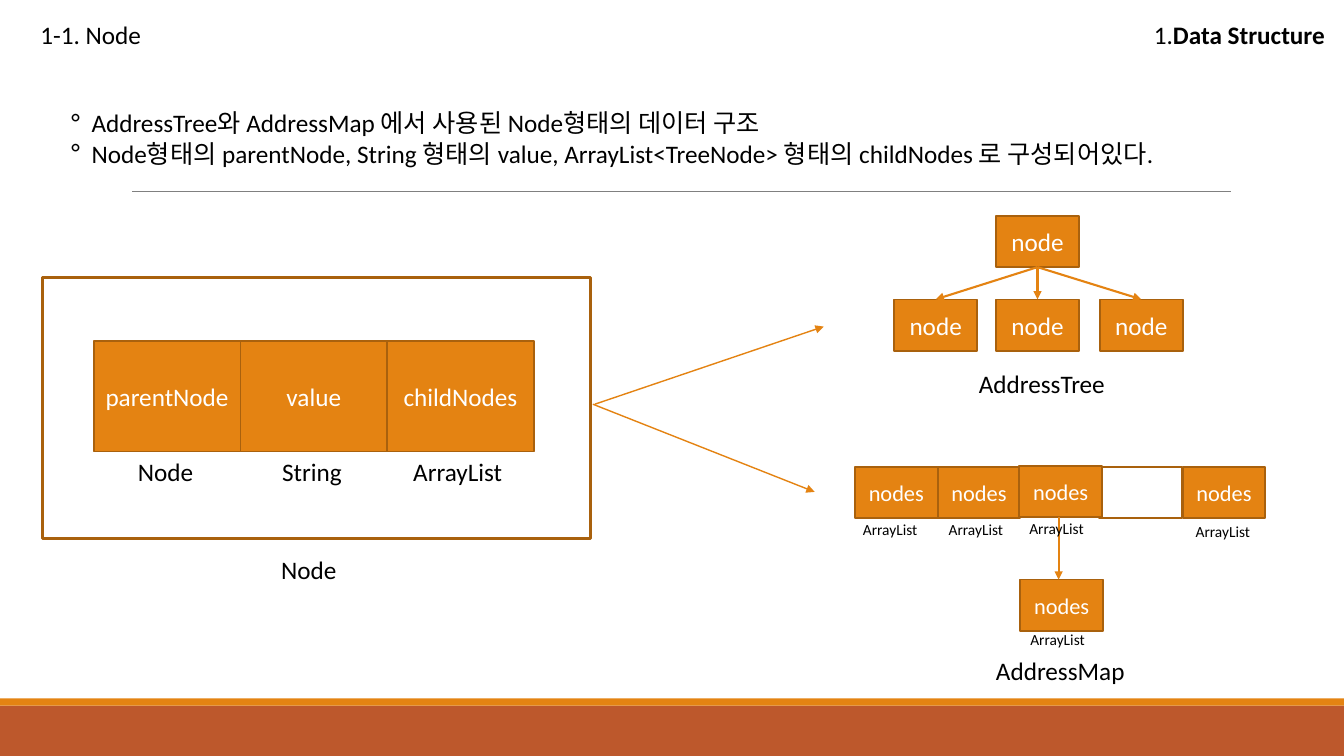
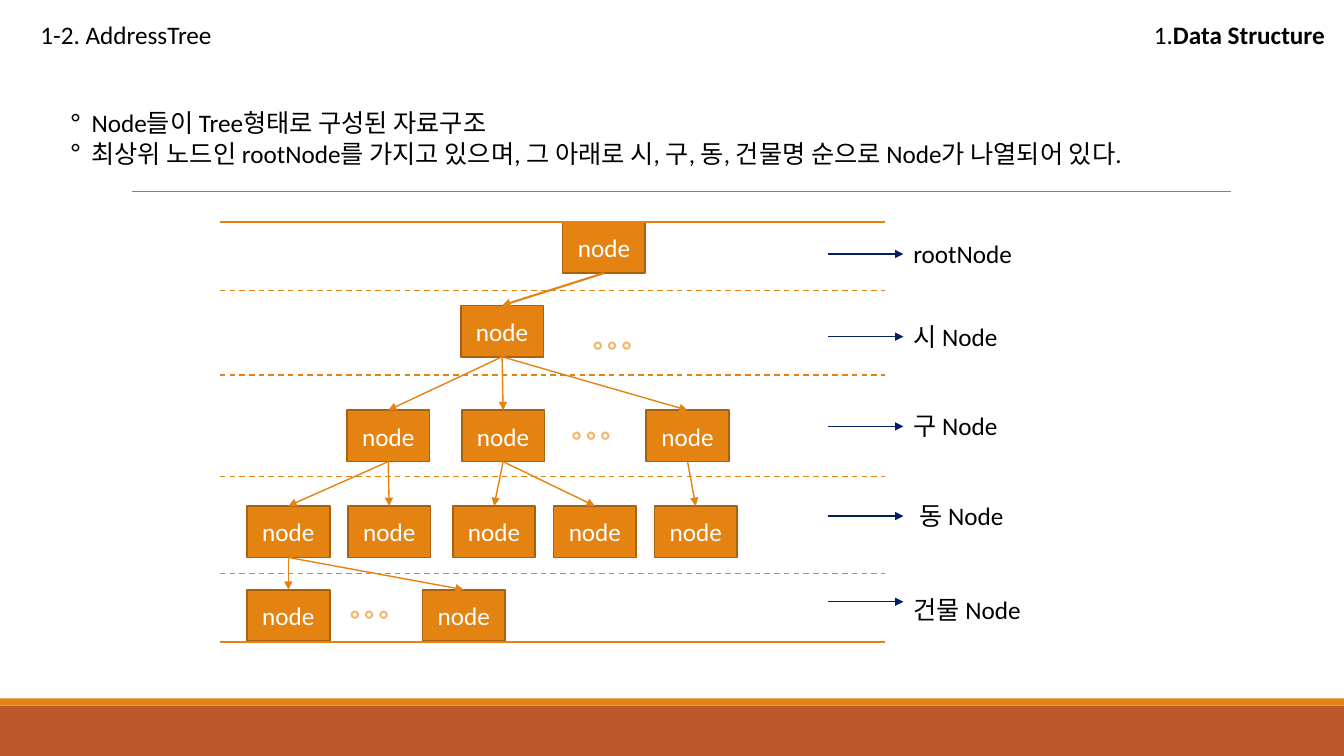
from dataclasses import dataclass

from lxml import etree
from pptx import Presentation
from pptx.dml.color import RGBColor
from pptx.enum.dml import MSO_LINE
from pptx.enum.shapes import MSO_CONNECTOR, MSO_SHAPE
from pptx.enum.text import MSO_ANCHOR, PP_ALIGN
from pptx.oxml.ns import qn
from pptx.shapes.autoshape import Shape
from pptx.shapes.connector import Connector
from pptx.slide import Slide
from pptx.text.text import TextFrame
from pptx.util import Inches, Pt

RECT = MSO_SHAPE.RECTANGLE
STRAIGHT = MSO_CONNECTOR.STRAIGHT
DASH = MSO_LINE.DASH
LEFT, CENTER, RIGHT = PP_ALIGN.LEFT, PP_ALIGN.CENTER, PP_ALIGN.RIGHT
TOP, MIDDLE = MSO_ANCHOR.TOP, MSO_ANCHOR.MIDDLE

FONT = "Calibri"
COLORS = {
    "rust": "BD582C",
    "orange": "E48312",
    "edge": "A9610D",
    "pale": "F3B56C",
    "navy": "002060",
    "gray": "808080",
    "black": "000000",
    "white": "FFFFFF",
}
NODE_W, NODE_H = 0.82, 0.51
TEXT_H = 0.4


@dataclass
class Row:
    top: float
    lefts: list[float]


@dataclass
class Field:
    name: str
    kind: str
    left: float
    width: float


@dataclass
class Level:
    name: str
    top: float
    arrow: float
    left: float = 8.96
    width: float = 1.21


def color(name: str) -> RGBColor:
    return RGBColor.from_string(COLORS[name])


def style(frame: TextFrame, size: float = 18, ink: str = "black",
          align: PP_ALIGN = LEFT, bold: bool = False) -> None:
    frame.word_wrap = True
    for para in frame.paragraphs:
        para.alignment = align
        for run in para.runs:
            font = run.font
            font.name, font.size, font.bold = FONT, Pt(size), bold
            font.color.rgb = color(ink)


def label(slide: Slide, text: str, left: float, top: float, width: float,
          height: float = TEXT_H, size: float = 18, ink: str = "black",
          align: PP_ALIGN = LEFT, bold: bool = False) -> TextFrame:
    frame = slide.shapes.add_textbox(
        Inches(left), Inches(top), Inches(width), Inches(height)).text_frame
    frame.text = text
    style(frame, size, ink, align, bold)
    return frame


def box(slide: Slide, left: float, top: float, width: float, height: float,
        fill: str = "orange", edge: str | None = "edge", weight: float = 1.25,
        text: str = "", size: float = 18) -> Shape:
    shape = slide.shapes.add_shape(
        RECT, Inches(left), Inches(top), Inches(width), Inches(height))
    shape.shadow.inherit = False
    shape.fill.solid()
    shape.fill.fore_color.rgb = color(fill)
    if edge:
        shape.line.color.rgb = color(edge)
        shape.line.width = Pt(weight)
    else:
        shape.line.fill.background()
    if text:
        frame = shape.text_frame
        frame.text = text
        frame.vertical_anchor = MIDDLE
        frame.margin_left = frame.margin_right = Inches(0.05)
        style(frame, size, "white", CENTER)
    return shape


def node(slide: Slide, left: float, top: float, text: str = "node",
         size: float = 18) -> Shape:
    return box(slide, left, top, NODE_W, NODE_H, text=text, size=size)


def line(slide: Slide, x1: float, y1: float, x2: float, y2: float,
         ink: str = "orange", weight: float = 1, head: bool = False,
         dash: MSO_LINE | None = None) -> Connector:
    link = slide.shapes.add_connector(
        STRAIGHT, Inches(x1), Inches(y1), Inches(x2), Inches(y2))
    link.line.color.rgb = color(ink)
    link.line.width = Pt(weight)
    if dash:
        link.line.dash_style = dash
    props = link._element.spPr
    if head:
        tail = etree.SubElement(props.find(qn("a:ln")), qn("a:tailEnd"))
        tail.set("type", "triangle")
    etree.SubElement(props, qn("a:effectLst"))
    return link


def join(slide: Slide, start: Shape, end: Shape, weight: float = 1) -> None:
    """Draw an arrow from the foot of one box to the top of another."""
    link = line(slide, 0, 0, 1, 1, weight=weight, head=True)
    link.begin_connect(start, 2)
    link.end_connect(end, 0)


def tree(slide: Slide, rows: list[Row]) -> list[Shape]:
    return [node(slide, left, row.top) for row in rows for left in row.lefts]


def bullet(frame: TextFrame) -> None:
    for para in frame.paragraphs:
        props = para._p.get_or_add_pPr()
        props.set("marL", str(Inches(0.2)))
        props.set("indent", str(-Inches(0.2)))
        etree.SubElement(props, qn("a:buFont")).set("typeface", FONT)
        etree.SubElement(props, qn("a:buChar")).set("char", "°")


def start(deck: Presentation, title: str, points: list[str]) -> Slide:
    """Add a slide with the shared bands, rule, headings and points."""
    slide = deck.slides.add_slide(deck.slide_layouts[5])
    box(slide, 0, 7, 13.33, 0.5, "rust", None)
    box(slide, 0, 6.93, 13.33, 0.07, "orange", None)
    line(slide, 1.31, 1.9, 12.21, 1.9, "gray", 0.5)

    head = slide.shapes.title
    head.left, head.top = Inches(0.3), Inches(0.14)
    head.width, head.height = Inches(2.07), Inches(TEXT_H)
    head.text_frame.text = title
    head.text_frame.vertical_anchor = TOP
    style(head.text_frame)

    part = label(slide, "1.", 11.27, 0.14, 1.97, align=RIGHT)
    part.paragraphs[0].add_run().text = "Data Structure"
    style(part, align=RIGHT)
    part.paragraphs[0].runs[1].font.bold = True

    bullet(label(slide, "\n".join(points), 0.61, 1.02, 12.33, 0.71))
    return slide


def draw_node(deck: Presentation) -> None:
    slide = start(deck, "1-1. Node", [
        "AddressTree와 AddressMap 에서 사용된 Node형태의 데이터 구조",
        "Node형태의 parentNode, String 형태의 value, ArrayList<TreeNode> "
        "형태의 childNodes 로 구성되어있다.",
    ])
    box(slide, 0.42, 2.75, 5.44, 2.59, "white", weight=2.25)
    fields = [
        Field("parentNode", "Node", 1.27, 0.83),
        Field("value", "String", 2.7, 0.83),
        Field("childNodes", "ArrayList", 4, 1.14),
    ]
    for i, field in enumerate(fields):
        box(slide, 0.93 + 1.455 * i, 3.38, 1.455, 1.1, text=field.name)
        label(slide, field.kind, field.left, 4.48, field.width)
    label(slide, "Node", 2.69, 5.45, 0.84)
    line(slide, 5.9, 4.01, 8.17, 3.24, head=True)
    line(slide, 5.88, 4.01, 8.08, 4.88, head=True)

    root, *kids = tree(slide, [Row(2.14, [9.88]),
                               Row(2.97, [8.87, 9.88, 10.91])])
    for kid in kids:
        join(slide, root, kid, 1.5)
    label(slide, "AddressTree", 9.61, 3.6, 1.49)

    box(slide, 10.9, 4.63, NODE_W, NODE_H, "white")
    cells = [node(slide, left, top, "nodes", 16) for left, top in
             [(8.48, 4.63), (9.3, 4.63), (10.11, 4.62), (11.73, 4.63),
              (10.12, 5.75)]]
    line(slide, 10.5, 5.13, 10.5, 5.75, weight=1.5, head=True)
    tags = [(8.46, 5.11), (9.31, 5.11), (10.11, 5.1), (11.76, 5.13),
            (10.12, 6.2)]
    for left, top in tags[:len(cells)]:
        label(slide, "ArrayList", left, top, 0.81, 0.29, 11)
    label(slide, "AddressMap", 9.78, 6.45, 1.49)


def draw_tree(deck: Presentation) -> None:
    slide = start(deck, "1-2. AddressTree", [
        "Node들이 Tree형태로 구성된 자료구조",
        "최상위 노드인 rootNode를 가지고 있으며, 그 아래로 시, 구, 동, "
        "건물명 순으로 Node가 나열되어 있다.",
    ])
    nodes = tree(slide, [
        Row(2.2, [5.58]),
        Row(3.03, [4.57]),
        Row(4.07, [3.44, 4.58, 6.41]),
        Row(5.02, [2.45, 3.45, 4.49, 5.49, 6.49]),
        Row(5.85, [2.45, 4.19]),
    ])
    join(slide, nodes[0], nodes[1], 1.5)
    for above, below in [(1, 2), (1, 3), (1, 4), (2, 5), (2, 6), (3, 7),
                         (3, 8), (4, 9), (5, 10), (5, 11)]:
        join(slide, nodes[above], nodes[below])

    for left, top in [(5.58, 4.16), (5.79, 3.27), (3.38, 5.94)]:
        label(slide, "° ° °", left, top, 1.13, ink="pale", bold=True)
    for y in (2.2, 6.37):
        line(slide, 2.18, y, 8.78, y, weight=1.5)
    for y in (2.88, 3.72, 4.73, 5.69):
        line(slide, 2.18, y, 8.78, y, dash=DASH)

    levels = [
        Level("rootNode", 2.32, 2.52),
        Level("시 Node", 3.14, 3.34),
        Level("구 Node", 4.02, 4.23),
        Level("동 Node", 4.91, 5.12, left=9.02),
        Level("건물 Node", 5.85, 5.97, width=1.33),
    ]
    for level in levels:
        label(slide, level.name, level.left, level.top, level.width)
        line(slide, 8.21, level.arrow, 8.96, level.arrow, "navy", head=True)


def main() -> None:
    deck = Presentation()
    deck.slide_width, deck.slide_height = Inches(13.33), Inches(7.5)
    draw_node(deck)
    draw_tree(deck)
    deck.save("out.pptx")


if __name__ == "__main__":
    main()
